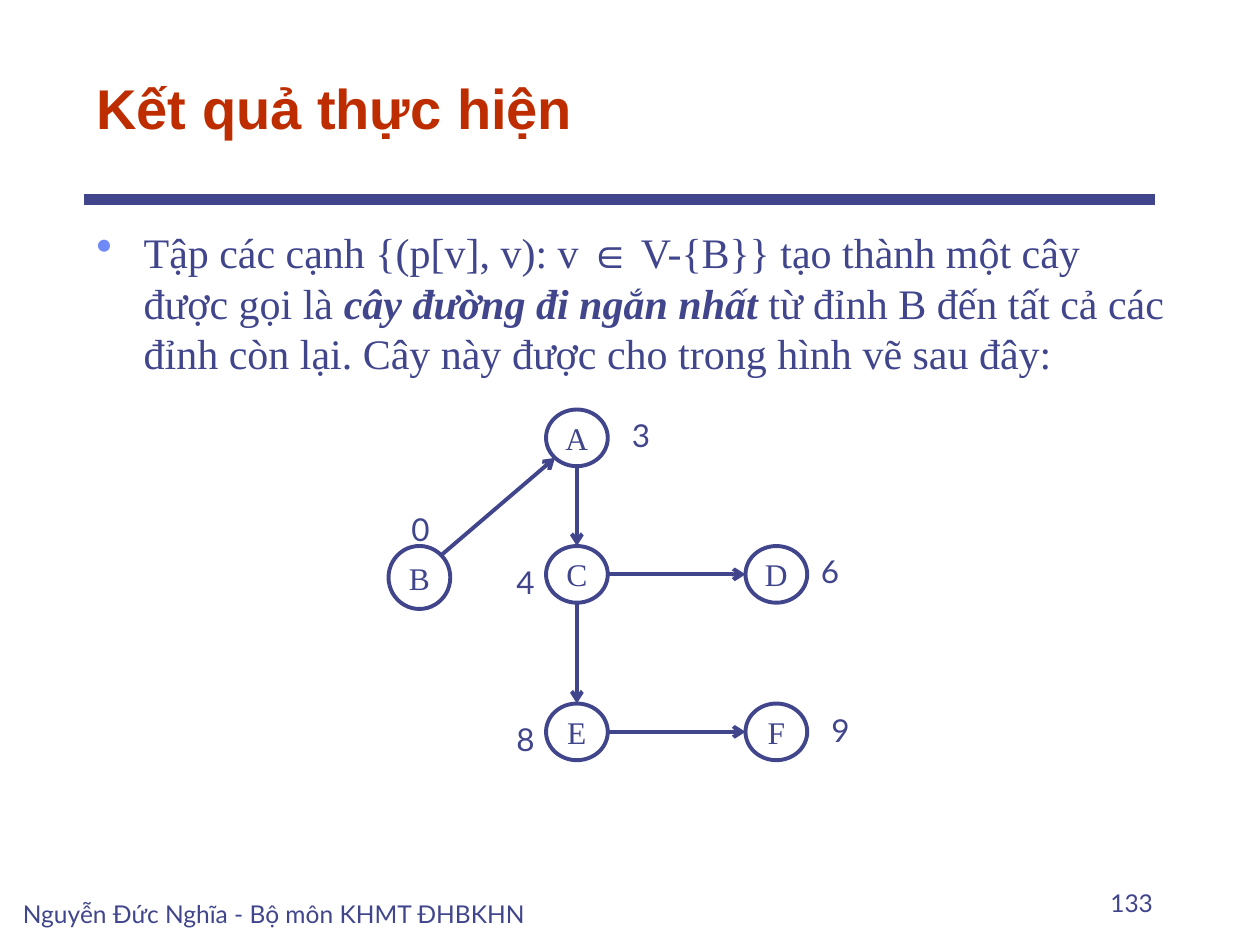
from dataclasses import dataclass
from math import sqrt

from lxml.etree import SubElement
from pptx import Presentation
from pptx.dml.color import RGBColor
from pptx.enum.shapes import MSO_CONNECTOR as Connector, MSO_SHAPE as Shape
from pptx.enum.text import MSO_ANCHOR as Anchor, MSO_AUTO_SIZE as AutoSize, PP_ALIGN as Align
from pptx.oxml.ns import qn
from pptx.util import Pt

COLORS = {"ink": "40458C", "title": "BE2D00", "bullet": "6F89F7"}
SERIF, SANS, HEADING = "Times New Roman", "Lato", "Arial"
VERTEX_WIDTH = 35.3
DIAGONAL = 1 / sqrt(2)
UP, DOWN, LEFT, RIGHT = (0, -1), (0, 1), (-1, 0), (1, 0)
UP_RIGHT, DOWN_LEFT = (DIAGONAL, -DIAGONAL), (-DIAGONAL, DIAGONAL)


@dataclass(frozen=True)
class Style:
    font: str
    size: float
    color: str = "ink"
    bold: bool = False
    italic: bool = False


@dataclass(frozen=True)
class Vertex:
    name: str
    left: float
    top: float
    height: float = 32.4

    def rim(self, direction: tuple[float, float]) -> tuple[float, float]:
        dx, dy = direction
        return (self.left + VERTEX_WIDTH / 2 * (1 + dx),
                self.top + self.height / 2 * (1 + dy))


@dataclass(frozen=True)
class Edge:
    tail: str
    leaving: tuple[float, float]
    head: str
    entering: tuple[float, float]


@dataclass(frozen=True)
class Distance:
    value: str
    left: float
    top: float
    width: float


VERTICES = {vertex.name: vertex for vertex in (
    Vertex("A", 312, 234),
    Vertex("B", 222, 312, 36),
    Vertex("C", 312, 312),
    Vertex("D", 426, 312),
    Vertex("E", 312, 402),
    Vertex("F", 426, 402),
)}
EDGES = (
    Edge("B", UP_RIGHT, "A", DOWN_LEFT),
    Edge("A", DOWN, "C", UP),
    Edge("C", DOWN, "E", UP),
    Edge("C", RIGHT, "D", LEFT),
    Edge("E", RIGHT, "F", LEFT),
)
DISTANCES = (
    Distance("3", 354, 234, 24),
    Distance("0", 228, 288, 18),
    Distance("4", 288, 318, 30),
    Distance("6", 462, 312, 18),
    Distance("8", 288, 408, 18),
    Distance("9", 468, 403, 30),
)


def rgb(name: str) -> RGBColor:
    return RGBColor.from_string(COLORS[name])


def add_run(paragraph, text: str, style: Style) -> None:
    run = paragraph.add_run()
    run.text = text
    run.font.name = style.font
    run.font.size = Pt(style.size)
    run.font.bold = style.bold
    run.font.italic = style.italic
    run.font.color.rgb = rgb(style.color)


def add_text(slide, box: tuple[float, ...], runs: list[tuple[str, Style]],
             anchor=Anchor.TOP, align=Align.LEFT, auto_size=AutoSize.NONE):
    frame = slide.shapes.add_textbox(*map(Pt, box)).text_frame
    frame.word_wrap = True
    frame.auto_size = auto_size
    frame.vertical_anchor = anchor
    paragraph = frame.paragraphs[0]
    paragraph.alignment = align
    for text, style in runs:
        add_run(paragraph, text, style)
    return paragraph


def add_bullet(paragraph) -> None:
    properties = paragraph._p.get_or_add_pPr()
    properties.set("marL", str(Pt(27)))
    properties.set("indent", str(-Pt(27)))
    color = SubElement(properties, qn("a:buClr"))
    SubElement(color, qn("a:srgbClr"), val=COLORS["bullet"])
    SubElement(properties, qn("a:buSzPct"), val="110000")
    SubElement(properties, qn("a:buChar"), char="•")


def add_line(slide, start: tuple[float, float], end: tuple[float, float],
             width: float, arrow: bool = False) -> None:
    line = slide.shapes.add_connector(Connector.STRAIGHT, *map(Pt, start + end))
    line.line.color.rgb = rgb("ink")
    line.line.width = Pt(width)
    if arrow:
        SubElement(line.line._get_or_add_ln(), qn("a:tailEnd"), type="arrow")
    SubElement(line._element.spPr, qn("a:effectLst"))


def add_vertex(slide, vertex: Vertex) -> None:
    node = slide.shapes.add_shape(
        Shape.OVAL, *map(Pt, (vertex.left, vertex.top, VERTEX_WIDTH, vertex.height)))
    node.shadow.inherit = False
    node.fill.background()
    node.line.color.rgb = rgb("ink")
    node.line.width = Pt(2.25)
    node.text_frame.word_wrap = False
    node.text_frame.vertical_anchor = Anchor.MIDDLE
    paragraph = node.text_frame.paragraphs[0]
    paragraph.alignment = Align.CENTER
    add_run(paragraph, vertex.name, Style(SERIF, 18))


def main() -> None:
    deck = Presentation()
    deck.slide_width, deck.slide_height = Pt(720), Pt(540)
    slide = deck.slides.add_slide(deck.slide_layouts[6])

    add_line(slide, (48, 114), (660, 114), 6)
    add_text(slide, (48, 24, 612, 60),
             [("Kết quả thực hiện", Style(HEADING, 32, "title", bold=True))],
             Anchor.BOTTOM)

    body = Style(SERIF, 24)
    statement = add_text(slide, (48, 126, 630, 348), [
        ("Tập các cạnh {(p[v], v): v ∈ V-{B}} tạo thành một cây được gọi là ", body),
        ("cây đường đi ngắn nhất ", Style(SERIF, 24, bold=True, italic=True)),
        ("từ đỉnh B đến tất cả các đỉnh còn lại. "
         "Cây này được cho trong hình vẽ sau đây:", body),
    ])
    add_bullet(statement)

    footer = Style(SANS, 14)
    add_text(slide, (6, 498, 336, 36),
             [("Nguyễn Đức Nghĩa - Bộ môn KHMT ĐHBKHN", footer)], Anchor.BOTTOM)
    add_text(slide, (516, 492, 150, 36), [("133", footer)], Anchor.BOTTOM, Align.RIGHT)

    for vertex in VERTICES.values():
        add_vertex(slide, vertex)
    for edge in EDGES:
        add_line(slide, VERTICES[edge.tail].rim(edge.leaving),
                 VERTICES[edge.head].rim(edge.entering), 2.25, arrow=True)
    for distance in DISTANCES:
        add_text(slide, (distance.left, distance.top, distance.width, 28.8),
                 [(distance.value, Style(SANS, 18))],
                 auto_size=AutoSize.SHAPE_TO_FIT_TEXT)

    deck.save("out.pptx")


if __name__ == "__main__":
    main()
